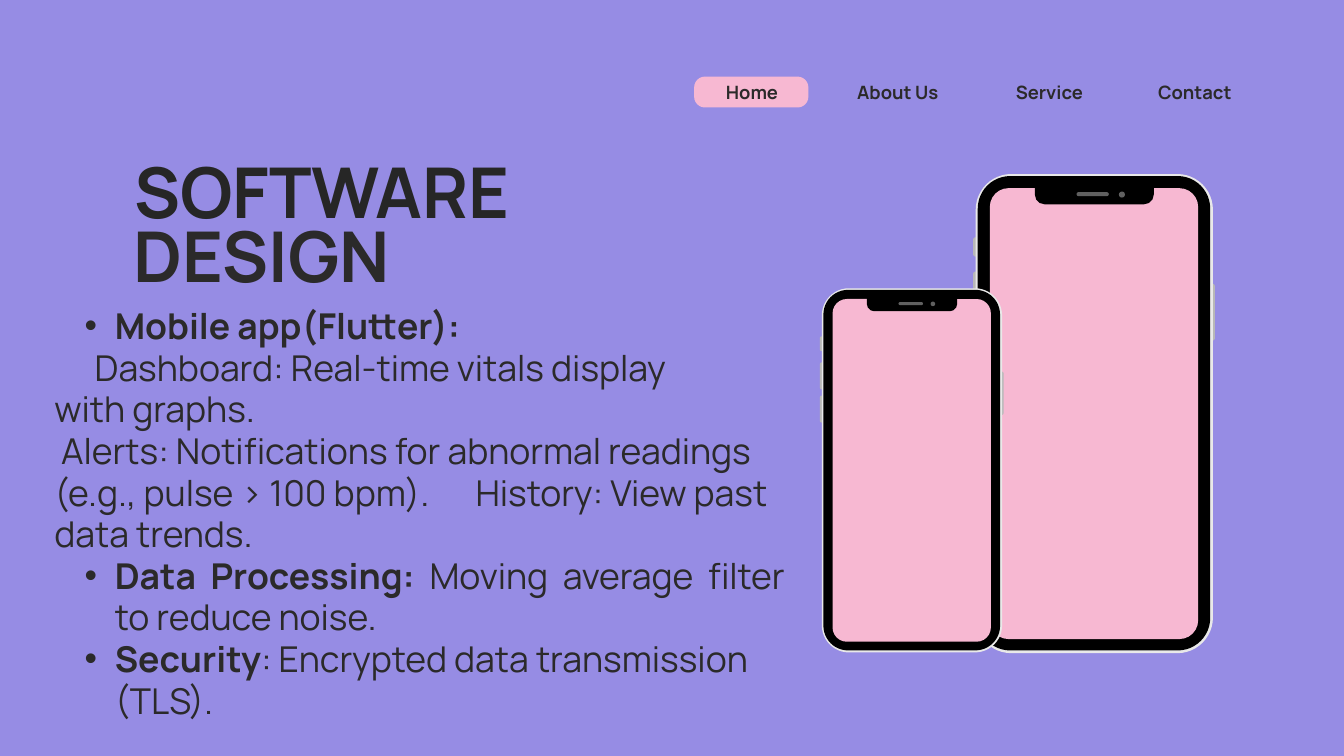
from typing import NamedTuple

from lxml import etree
from pptx import Presentation
from pptx import util as u
from pptx.dml.color import RGBColor
from pptx.enum import shapes, text
from pptx.oxml.ns import qn

FONT = "Manrope"
COLORS = {
    "background": "968CE4", "pink": "F7B8D2", "ink": "2B2A2A", "title": "262626",
    "black": "000000", "rim": "E9E9E9", "button": "B8B8B8", "sensor": "606060",
}
ROUND = shapes.MSO_SHAPE.ROUNDED_RECTANGLE
NOTCH = shapes.MSO_SHAPE.ROUND_2_SAME_RECTANGLE
OVAL = shapes.MSO_SHAPE.OVAL
LEFT, CENTER, JUSTIFY = (text.PP_ALIGN.LEFT, text.PP_ALIGN.CENTER,
                         text.PP_ALIGN.JUSTIFY)


class Part(NamedTuple):
    """A piece of a phone; lengths are inches from the large phone's corner."""
    x: float
    y: float
    w: float
    h: float
    color: str
    kind: int = ROUND
    adjust: tuple = (0.5,)


class Phone(NamedTuple):
    x: float
    y: float
    scale: float


class Label(NamedTuple):
    words: str
    x: float
    y: float
    w: float
    h: float
    size: float
    spacing: float
    color: str = "ink"
    align: int = CENTER


class Run(NamedTuple):
    """Words of one weight; tracking is extra letter spacing in points."""
    words: str
    bold: bool = False
    tracking: float = 0


class Para(NamedTuple):
    """A body paragraph; a None run is a line break."""
    runs: tuple
    bullet: bool = False
    align: int = LEFT
    first_indent: float = 0


PARTS = [
    *(Part(-0.04, y, 0.08, h, "button")
      for y, h in ((0.94, 0.29), (1.45, 0.53), (2.1, 0.53))),
    Part(3.48, 1.63, 0.08, 0.85, "button"),
    Part(0, 0, 3.53, 7.13, "rim", adjust=(0.15,)),
    Part(0.03, 0.03, 3.46, 7.06, "black", adjust=(0.14,)),
    Part(0.21, 0.21, 3.1, 6.71, "pink", adjust=(0.09,)),
    Part(0.88, 0.16, 1.77, 0.29, "black", NOTCH, (0, 0.5)),
    Part(1.5, 0.27, 0.48, 0.06, "sensor"),
    Part(2.13, 0.26, 0.09, 0.09, "sensor", OVAL, ()),
]
PHONES = [Phone(14.52, 2.59, 1), Phone(12.23, 4.29, 0.76)]

NAV = [("Home", 10.6, 1.18), ("About Us", 12.57, 1.58),
       ("Service", 14.95, 1.33), ("Contact", 17.08, 1.4)]
LABELS = [
    *(Label(words, x, 1.15, w, 0.38, 19.7, 27.5) for words, x, w in NAV),
    Label("SOFTWARE", 2, 2.34, 6.07, 1.14, 75, 80.2, "title", LEFT),
    Label("DESIGN", 1.98, 3.3, 6.36, 1.22, 75, 80.2, "ink", LEFT),
]
BODY = [
    Para((Run("Mobile app(Flutter):", True),), bullet=True, align=JUSTIFY),
    Para((Run("Dashboard: Real-time vitals display"), None,
          Run("with graphs.")), first_indent=0.6),
    Para((Run("Alerts: Notifications for abnormal readings "
              "(e.g., pulse > 100 bpm)."),
          Run(" ", tracking=42), Run("History: View past data trends.")),
         first_indent=0.1),
    Para((Run("Data Processing: ", True),
          Run("Moving average filter to reduce noise.")),
         bullet=True, align=JUSTIFY),
    Para((Run("Security", True), Run(": Encrypted data transmission (TLS).")),
         bullet=True),
]


def rgb(name: str) -> RGBColor:
    return RGBColor.from_string(COLORS[name])


def add_part(tree, part: Part) -> None:
    sp = tree.add_shape(part.kind, *(u.Inches(v) for v in part[:4]))
    sp.shadow.inherit = False
    sp.fill.solid()
    sp.fill.fore_color.rgb = rgb(part.color)
    sp.line.fill.background()
    for i, value in enumerate(part.adjust):
        sp.adjustments[i] = value


def add_phone(s, phone: Phone) -> None:
    group = s.shapes.add_group_shape()
    k = phone.scale
    for part in PARTS:
        add_part(group.shapes, part._replace(
            x=phone.x + part.x * k, y=phone.y + part.y * k,
            w=part.w * k, h=part.h * k))


def add_frame(s, x: float, y: float, w: float, h: float):
    """Add a wrapping text box without margins and return its text frame."""
    tf = s.shapes.add_textbox(*(u.Inches(v) for v in (x, y, w, h))).text_frame
    tf.word_wrap = True
    tf.auto_size = text.MSO_AUTO_SIZE.SHAPE_TO_FIT_TEXT
    tf.margin_left = tf.margin_right = tf.margin_top = tf.margin_bottom = 0
    return tf


def add_run(p, words: str, *, size: float, color: str = "ink",
            bold: bool = True, tracking: float = 0) -> None:
    r = p.add_run()
    r.text = words
    r.font.name, r.font.size, r.font.bold = FONT, u.Pt(size), bold
    r.font.color.rgb = rgb(color)
    if tracking:
        r._r.get_or_add_rPr().set("spc", str(round(tracking * 100)))


def add_label(s, label: Label) -> None:
    p = add_frame(s, label.x, label.y, label.w, label.h).paragraphs[0]
    p.alignment = label.align
    p.line_spacing = u.Pt(label.spacing)
    add_run(p, label.words, size=label.size, color=label.color)


def set_layout(p, para: Para) -> None:
    """Set the indents and bullet of a body paragraph."""
    pPr = p._p.get_or_add_pPr()
    margin, indent = (0.9, -0.45) if para.bullet else (0, para.first_indent)
    pPr.set("marL", str(u.Inches(margin)))
    pPr.set("indent", str(u.Inches(indent)))
    if para.bullet:
        p.level = 1
        etree.SubElement(pPr, qn("a:buFont"), typeface="Arial")
        etree.SubElement(pPr, qn("a:buChar"), char="•")


def add_body(s) -> None:
    tf = add_frame(s, 0.81, 4.54, 10.87, 6.18)
    for i, para in enumerate(BODY):
        p = tf.add_paragraph() if i else tf.paragraphs[0]
        set_layout(p, para)
        p.alignment = para.align
        p.line_spacing = u.Pt(44.6)
        for run in para.runs:
            if run is None:
                p.add_line_break()
            else:
                add_run(p, run.words, size=38.1, bold=run.bold,
                        tracking=run.tracking)


def main() -> None:
    prs = Presentation()
    prs.slide_width, prs.slide_height = u.Inches(20), u.Inches(11.25)
    s = prs.slides.add_slide(prs.slide_layouts[6])
    s.background.fill.solid()
    s.background.fill.fore_color.rgb = rgb("background")
    add_part(s.shapes, Part(10.33, 1.14, 1.7, 0.46, "pink", adjust=(0.35,)))
    for phone in PHONES:
        add_phone(s, phone)
    for label in LABELS:
        add_label(s, label)
    add_body(s)
    prs.save("out.pptx")


if __name__ == "__main__":
    main()
